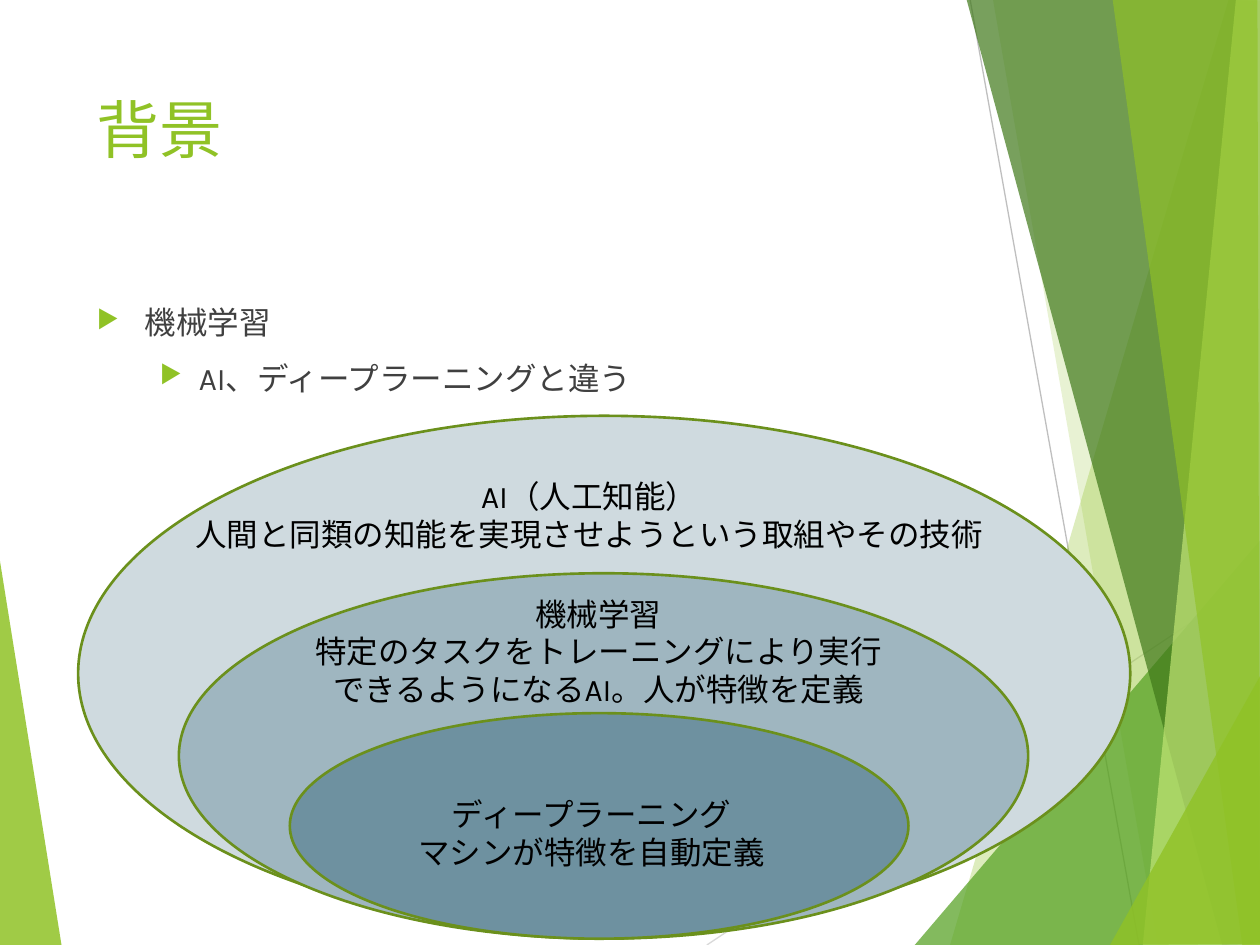
from lxml.etree import SubElement
from pptx import Presentation
from pptx.dml.color import RGBColor
from pptx.enum.lang import MSO_LANGUAGE_ID
from pptx.enum.shapes import MSO_CONNECTOR, MSO_SHAPE
from pptx.enum.text import MSO_ANCHOR, PP_ALIGN
from pptx.oxml.ns import qn
from pptx.util import Inches, Pt

LIME = RGBColor(0x90, 0xC2, 0x26)
PALE_LIME = RGBColor(0xC0, 0xE4, 0x74)
LEAF = RGBColor(0x54, 0xA0, 0x21)
FOREST = RGBColor(0x3F, 0x78, 0x19)
OUTLINE = RGBColor(0x6B, 0x90, 0x1C)
LIGHT_GRAY = RGBColor(0xD9, 0xD9, 0xD9)
GRAY = RGBColor(0xBF, 0xBF, 0xBF)
BODY = RGBColor(0x40, 0x40, 0x40)
BLACK = RGBColor(0, 0, 0)
MIST = RGBColor(0xCF, 0xDA, 0xDF)
STEEL = RGBColor(0x9F, 0xB6, 0xC0)
SLATE = RGBColor(0x6E, 0x91, 0xA0)

# (corner points, colour, opacity in percent), from back to front
LEFT_BLADE = ([(-0.01, 4.39), (0.49, 7.51), (-0.01, 7.5)], LIME, 85)
RIGHT_BLADES = [
    ([(9.75, 0), (7.54, 7.5), (10.02, 7.51), (10.01, 0.01)], LIME, 30),
    ([(7.88, -0.01), (9.19, 7.5), (10.01, 7.5), (10.01, -0.01)], LIME, 20),
    ([(7.26, 7.5), (10, 4.29), (10.01, 7.5)], LEAF, 72),
    ([(7.67, -0.01), (9.7, 7.5), (10.01, 7.49), (10.01, -0.01)], FOREST, 70),
    ([(9.81, -0.01), (9.07, 7.5), (10.01, 7.5), (10, -0.01)], PALE_LIME, 70),
    ([(8.83, -0.01), (9.86, 7.5), (10, 7.5), (9.98, -0.01)], LIME, 65),
    ([(8.81, 7.5), (10.01, 5.35), (10.01, 7.49)], LIME, 80),
]

# (ellipse box, colour, caption box, caption lines), from outer to inner
NESTED_FIELDS = [
    ((0.62, 3.3, 8.35, 4.09), MIST, (1.42, 3.74, 6.51, 0.71),
     ["AI（人工知能）", "人間と同類の知能を実現させようという取組やその技術"]),
    ((1.42, 4.55, 6.74, 2.9), STEEL, (2.35, 4.67, 4.8, 1.01),
     ["機械学習",
      "特定のタスクをトレーニングにより実行できるようになるAI。人が特徴を定義"]),
    ((2.3, 5.66, 4.91, 1.79), SLATE, (3.13, 6.26, 3.13, 0.71),
     ["ディープラーニング", "マシンが特徴を自動定義"]),
]


def write_paragraph(paragraph, text, *, size=18, color=BLACK, font="Karla",
                    align=PP_ALIGN.LEFT, before=0):
    paragraph.alignment = align
    paragraph.space_before = Pt(before)
    run = paragraph.add_run()
    run.text = text
    run.font.name = font
    run.font.size = Pt(size)
    run.font.color.rgb = color
    run.font.language_id = MSO_LANGUAGE_ID.JAPANESE


def add_bullet(paragraph, left, hanging):
    properties = paragraph._p.get_or_add_pPr()
    properties.set("marL", str(Inches(left)))
    properties.set("indent", str(-Inches(hanging)))
    color = SubElement(properties, qn("a:buClr"))
    SubElement(color, qn("a:srgbClr"), val=str(LIME))
    SubElement(properties, qn("a:buSzPct"), val="80000")
    SubElement(properties, qn("a:buChar"), char="▶")


class SlideBuilder:
    def __init__(self, slide):
        self.shapes = slide.shapes

    def blade(self, points, color, opacity):
        """Draw a translucent polygon without an outline."""
        corners = [(Inches(x), Inches(y)) for x, y in points]
        builder = self.shapes.build_freeform(*corners[0])
        builder.add_line_segments(corners[1:], close=True)
        blade = builder.convert_to_shape()
        blade.shadow.inherit = False
        blade.fill.solid()
        blade.fill.fore_color.rgb = color
        blade.line.fill.background()
        fill_color = blade.fill._xPr.find(qn("a:solidFill"))[0]
        SubElement(fill_color, qn("a:alpha"), val=str(opacity * 1000))

    def line(self, start, end, color):
        line = self.shapes.add_connector(
            MSO_CONNECTOR.STRAIGHT, *map(Inches, start + end))
        line.line.color.rgb = color
        line.line.width = Pt(0.75)
        SubElement(line._element.spPr, qn("a:effectLst"))

    def ellipse(self, box, color):
        ellipse = self.shapes.add_shape(MSO_SHAPE.OVAL, *map(Inches, box))
        ellipse.shadow.inherit = False
        ellipse.fill.solid()
        ellipse.fill.fore_color.rgb = color
        ellipse.line.color.rgb = OUTLINE
        ellipse.line.width = Pt(1.5)

    def text(self, box, lines, **style):
        """Add a text box with one paragraph per line and return them."""
        frame = self.shapes.add_textbox(*map(Inches, box)).text_frame
        frame.word_wrap = True
        frame.vertical_anchor = MSO_ANCHOR.TOP
        for _ in lines[1:]:
            frame.add_paragraph()
        for paragraph, line in zip(frame.paragraphs, lines):
            write_paragraph(paragraph, line, **style)
        return frame.paragraphs


def main():
    presentation = Presentation()
    presentation.slide_width = Inches(10)
    presentation.slide_height = Inches(7.5)
    slide = presentation.slides.add_slide(presentation.slide_layouts[6])
    builder = SlideBuilder(slide)

    builder.blade(*LEFT_BLADE)
    builder.line((5.61, 7.5), (10.01, 4.57), LIGHT_GRAY)
    builder.line((7.7, 0), (9.04, 7.5), GRAY)
    for blade in RIGHT_BLADES:
        builder.blade(*blade)

    builder.text((0.67, 0.67, 6.94, 1.44), ["背景"], size=36, color=LIME)
    topic, remark = builder.text(
        (0.67, 2.36, 6.94, 4.24),
        ["機械学習", "AI、ディープラーニングと違う"], color=BODY, before=10)
    add_bullet(topic, 0.38, 0.38)
    remark.level = 1
    add_bullet(remark, 0.81, 0.31)

    for ellipse_box, color, caption_box, caption in NESTED_FIELDS:
        builder.ellipse(ellipse_box, color)
        builder.text(caption_box, caption, align=PP_ALIGN.CENTER)

    presentation.save("out.pptx")


if __name__ == "__main__":
    main()
